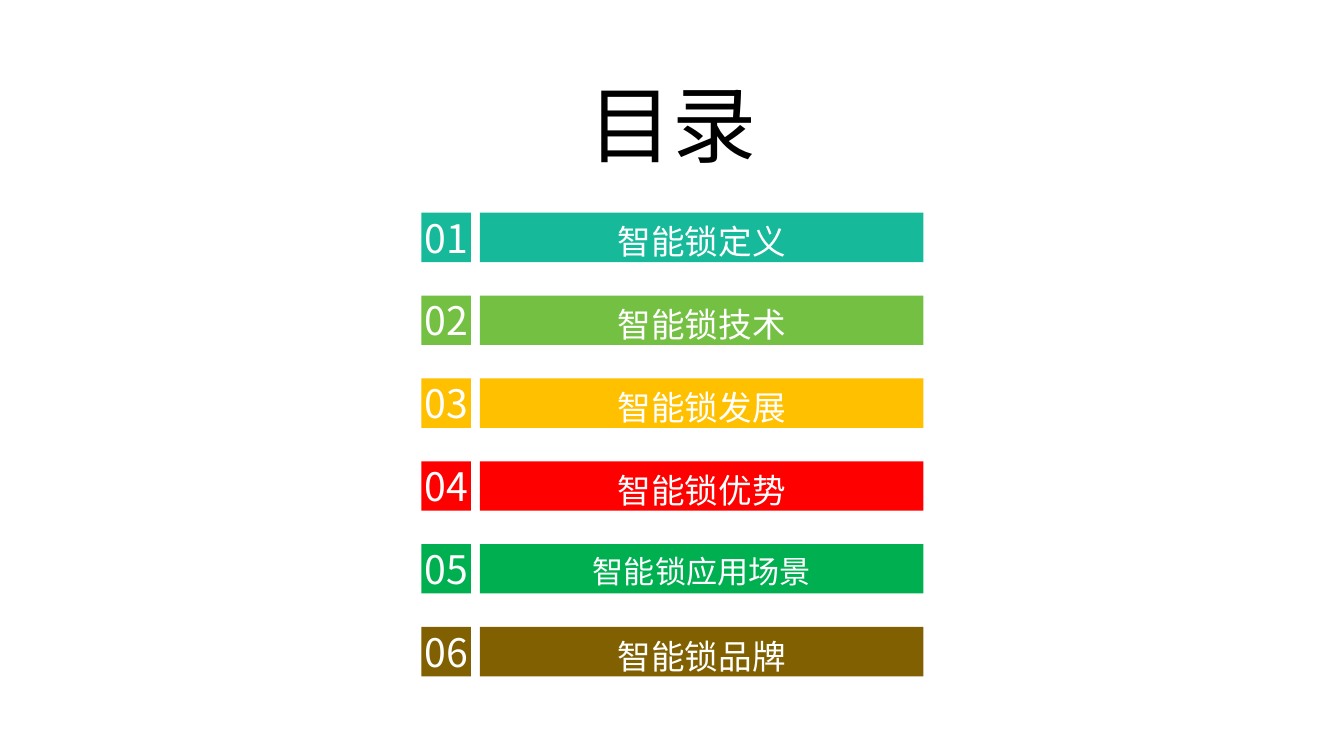
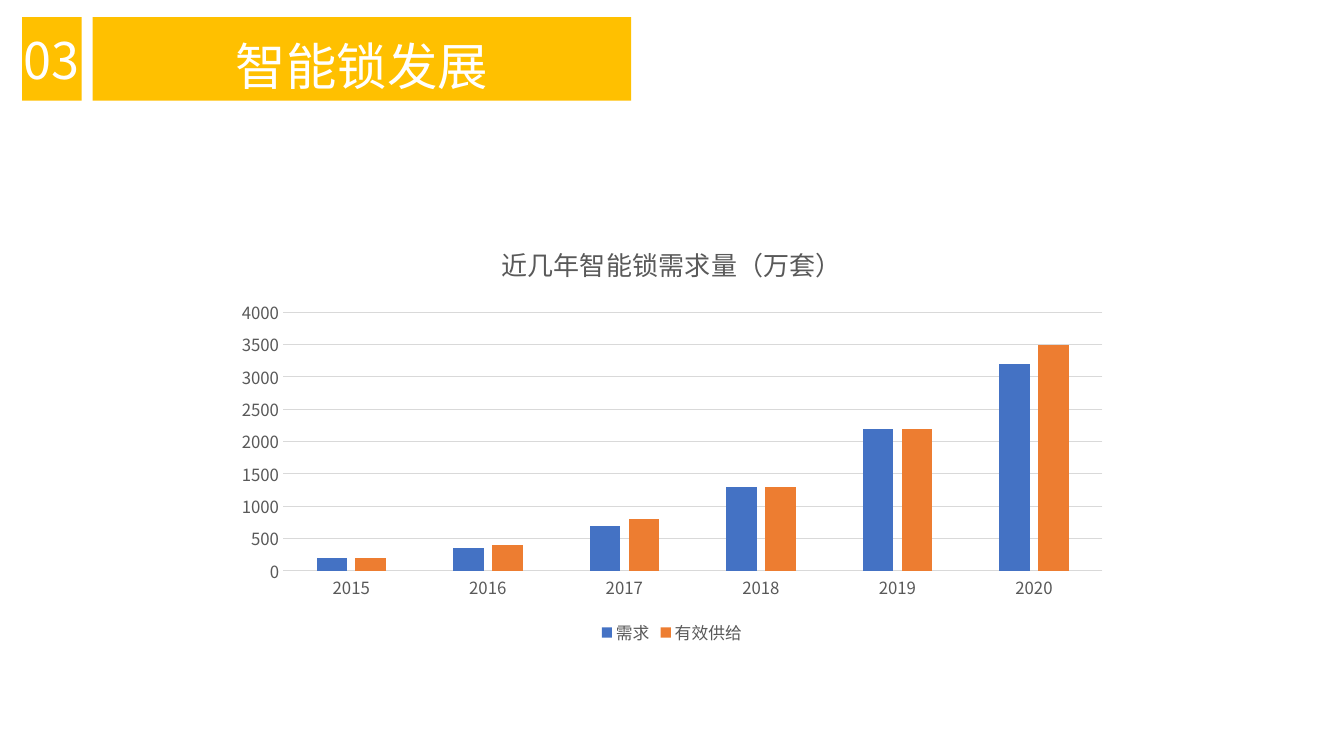
from pptx import Presentation
from pptx.chart.data import CategoryChartData as Data
from pptx.dml.color import RGBColor as RGB
from pptx.enum.chart import XL_CHART_TYPE as Kind, XL_LEGEND_POSITION as Pos, XL_TICK_MARK as Tick
from pptx.enum.shapes import MSO_SHAPE as Shape
from pptx.enum.text import MSO_ANCHOR as Anchor, PP_ALIGN as Align
from pptx.oxml.ns import qn
from pptx.util import Inches, Pt
from lxml import etree

FACE = "Noto Sans CJK SC"
HUES = {
    "teal": "16BA9B", "lime": "74C042", "gold": "FFC000", "red": "FF0000",
    "green": "00B050", "brown": "806000", "white": "FFFFFF", "black": "000000",
    "grey": "595959", "rule": "D9D9D9", "blue": "4472C4", "orange": "ED7D31",
}
HUES = {key: RGB.from_string(code) for key, code in HUES.items()}


def style(font, size, hue):
    font.name = FACE
    font.size = Pt(size)
    font.bold = False
    font.color.rgb = HUES[hue]


def band(slide, left, top, width, height, hue, text, size, lead=None):
    box = slide.shapes.add_shape(
        Shape.RECTANGLE, Inches(left), Inches(top), Inches(width), Inches(height))
    box.shadow.inherit = False
    box.fill.solid()
    box.fill.fore_color.rgb = HUES[hue]
    box.line.fill.background()
    frame = box.text_frame
    frame.word_wrap = lead is not None
    frame.vertical_anchor = Anchor.MIDDLE
    frame.margin_left = frame.margin_right = Inches(0.08)
    frame.margin_top = frame.margin_bottom = Inches(0.04)
    para = frame.paragraphs[0]
    para.alignment = Align.CENTER
    para.line_spacing = lead
    run = para.add_run()
    run.text = text
    style(run.font, size, "white")


deck = Presentation()
deck.slide_width = Inches(13.33)
deck.slide_height = Inches(7.5)
blank = deck.slide_layouts[6]

menu = deck.slides.add_slide(blank)
topics = [
    ("智能锁定义", "teal", 24, 1.2),
    ("智能锁技术", "lime", 24, 1.2),
    ("智能锁发展", "gold", 24, 1.2),
    ("智能锁优势", "red", 24, 1.2),
    ("智能锁应用场景", "green", 22.2, 1.1),
    ("智能锁品牌", "brown", 24, 1.2),
]
for row, (text, hue, size, lead) in enumerate(topics):
    top = 2.11 + 0.822 * row
    band(menu, 4.18, top, 0.49, 0.49, hue, f"{row + 1:02}", 28)
    band(menu, 4.76, top, 4.4, 0.49, hue, text, size, lead)

head = menu.shapes.add_textbox(Inches(1.67), Inches(0.69), Inches(10), Inches(1.09))
frame = head.text_frame
frame.word_wrap = True
frame.vertical_anchor = Anchor.BOTTOM
para = frame.paragraphs[0]
para.alignment = Align.CENTER
para.line_spacing = 0.9
run = para.add_run()
run.text = "目录"
style(run.font, 60, "black")

trend = deck.slides.add_slide(blank)
data = Data()
data.categories = [str(year) for year in range(2015, 2021)]
data.add_series("需求", [200, 350, 700, 1300, 2200, 3200])
data.add_series("有效供给", [200, 400, 800, 1300, 2200, 3500])
chart = trend.shapes.add_chart(
    Kind.COLUMN_CLUSTERED, Inches(2.22), Inches(2.22), Inches(8.89), Inches(4.22), data).chart
style(chart.font, 10, "black")

chart.has_title = True
run = chart.chart_title.text_frame.paragraphs[0].add_run()
run.text = "近几年智能锁需求量（万套）"
style(run.font, 18.6, "grey")
chart.chart_title.include_in_layout = False

chart.has_legend = True
chart.legend.position = Pos.BOTTOM
chart.legend.include_in_layout = False
style(chart.legend.font, 12, "grey")

years, units = chart.category_axis, chart.value_axis
for axis in (years, units):
    axis.major_tick_mark = axis.minor_tick_mark = Tick.NONE
    style(axis.tick_labels.font, 12, "grey")
units.minimum_scale, units.maximum_scale, units.major_unit = 0, 4000, 500
units.format.line.fill.background()
for line in (years.format.line, units.major_gridlines.format.line):
    line.color.rgb = HUES["rule"]
    line.width = Pt(0.75)

plot = chart.plots[0]
plot.vary_by_categories = False
plot.gap_width = 219
plot.overlap = -27
for bars, hue in zip(plot.series, ("blue", "orange")):
    bars.format.fill.solid()
    bars.format.fill.fore_color.rgb = HUES[hue]

band(trend, 0.22, 0.17, 0.59, 0.83, "gold", "03", 36)
band(trend, 0.92, 0.17, 5.34, 0.83, "gold", "智能锁发展", 36, 1.2)

for root in (menu.element, trend.element, chart.element):
    for latin in list(root.iter(qn("a:latin"))):
        east = etree.Element(qn("a:ea"), typeface=FACE)
        latin.addnext(east)

deck.save("out.pptx")
